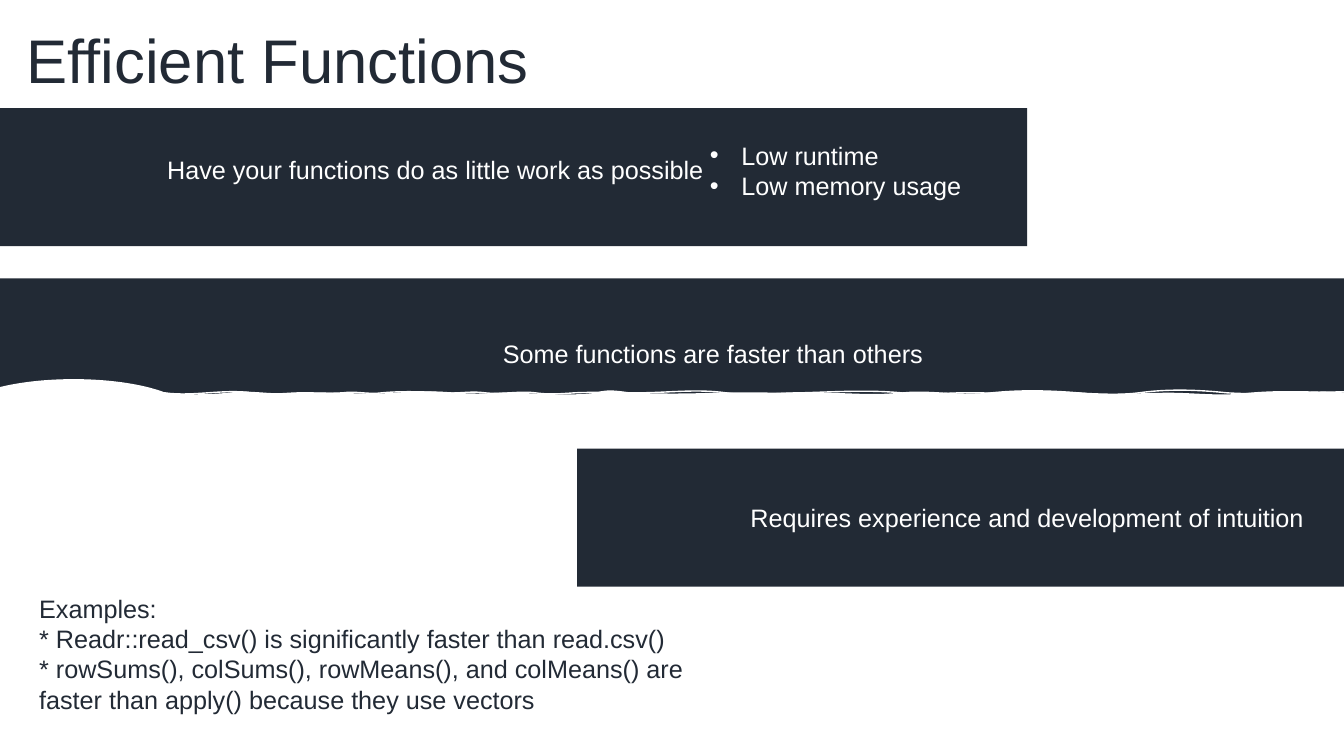
"""Build the "Efficient Functions" slide."""
from dataclasses import dataclass

from lxml import etree
from pptx import Presentation
from pptx.dml.color import RGBColor
from pptx.enum import shapes, text
from pptx.oxml import ns
from pptx.util import Pt


@dataclass(frozen=True)
class Theme:
    """Colours, font and type sizes of the slide."""
    dark: RGBColor = RGBColor(0x22, 0x2A, 0x35)
    light: RGBColor = RGBColor(0xFF, 0xFF, 0xFF)
    font: str = "Arial"
    title: int = 44
    body: int = 18


THEME = Theme()
BAR_TOP, BAR_STEP, BAR_HEIGHT = 320.5, -121.65, 98.6
BARS = [(412.3, 561.6), (0, 973.4), (-11.5, 745.2)]
GAINS = ["Low runtime", "Low memory usage"]
EXAMPLES = [
    "Examples:",
    "* Readr::read_csv() is significantly faster than read.csv()",
    "* rowSums(), colSums(), rowMeans(), and colMeans() are faster than apply() "
    "because they use vectors",
]
WAVE_LEFT, WAVE_TOP, WAVE_RIGHT, WAVE_BOTTOM = 117.4, 280.6, 980, 306
OUTLINE_WAVES = [
    (180, 2.9, -2.9), (216.7, 2.2, 0), (244.8, 0, 0.7), (272.9, -1.4, 1.4),
    (318.2, -1.4, -0.7), (346.3, 0.7, -1.4), (382.3, 1.4, -1.4), (410.4, 1.4, 0.7),
    (455.8, -0.7, 0), (518.4, 0, -2.9), (572.4, 2.9, 0), (643.7, -0.7, -2.2),
    (689, 2.2, 0), (743, 0, 0.7), (813.6, -1.4, 2.9), (876.2, -2.9, -2.2),
    (WAVE_RIGHT, 2.2, -2.2),
]
FILL_WAVES = [
    (162.7, 1.4, 1.4), (190.8, -1.4, -0.7), (218.9, 0.7, 0), (281.5, -0.7, 1.4),
    (326.9, -1.4, -1.4), (355, 0.7, 0.7), (425.5, -0.7, 2.9), (453.6, -3.6, -0.7),
    (507.6, 0.7, 0.7), (578.9, -0.7, 0), (641.5, -0.7, 2.2), (704.2, -2.9, 2.2),
    (775.4, -2.9, -2.2), (828.7, 2.2, 0), (891.4, -0.7, 2.9), (WAVE_RIGHT, -2.9, 0),
]


def add_span(para, words, size, color):
    """Add one formatted run."""
    span = para.add_run()
    span.text = words
    span.font.name = THEME.font
    span.font.size = Pt(size)
    span.font.color.rgb = color


def add_bullet(para):
    """Give a paragraph a hanging bullet."""
    props = para._p.get_or_add_pPr()
    props.set("marL", str(Pt(22.5)))
    props.set("indent", str(Pt(-22.5)))
    etree.SubElement(props, ns.qn("a:buFont")).set("typeface", THEME.font)
    etree.SubElement(props, ns.qn("a:buChar")).set("char", "•")


def add_title(page, words):
    """Place and fill the title placeholder."""
    box = page.shapes.title
    box.left, box.top, box.width, box.height = Pt(11.9), Pt(1.8), Pt(828), Pt(87.1)
    box.text_frame.vertical_anchor = text.MSO_ANCHOR.MIDDLE
    para = box.text_frame.paragraphs[0]
    para.alignment = text.PP_ALIGN.LEFT
    para.line_spacing = 0.9
    add_span(para, words, THEME.title, THEME.dark)


def add_text(page, place, lines, color=THEME.light, bulleted=False):
    """Add a wrapping text box with one paragraph per line."""
    box = page.shapes.add_textbox(*map(Pt, place))
    frame = box.text_frame
    frame.word_wrap = True
    frame.auto_size = text.MSO_AUTO_SIZE.SHAPE_TO_FIT_TEXT
    for index, line in enumerate(lines):
        para = frame.add_paragraph() if index else frame.paragraphs[0]
        if bulleted:
            add_bullet(para)
        add_span(para, line, THEME.body, color)


def paint(shape, fill, line=None, width=1):
    """Set the fill and, when given, the line."""
    shape.shadow.inherit = False
    shape.fill.solid()
    shape.fill.fore_color.rgb = fill
    if line is None:
        shape.line.fill.background()
    else:
        shape.line.color.rgb = line
        shape.line.width = Pt(width)


def add_segment(outline, tag, *points):
    """Append one drawing command with its points to an outline."""
    segment = etree.SubElement(outline, ns.qn(tag))
    for x, y in points:
        point = etree.SubElement(segment, ns.qn("a:pt"))
        point.set("x", str(Pt(x)))
        point.set("y", str(Pt(y)))


def add_outline(geometry, waves, **flags):
    """Append a strip with a wavy top edge to a custom geometry."""
    width, height = WAVE_RIGHT - WAVE_LEFT, WAVE_BOTTOM - WAVE_TOP
    outline = etree.SubElement(geometry, ns.qn("a:path"), w=str(Pt(width)),
                               h=str(Pt(height)), **flags)
    add_segment(outline, "a:moveTo", (0, 0))
    start = 0
    for right, first, second in waves:
        end = right - WAVE_LEFT
        third = (end - start) / 3
        add_segment(outline, "a:cubicBezTo", (start + third, first),
                    (end - third, second), (end, 0))
        start = end
    add_segment(outline, "a:lnTo", (width, height))
    add_segment(outline, "a:lnTo", (0, height))
    etree.SubElement(outline, ns.qn("a:close"))


def add_torn_edge(page):
    """Add the torn edge: a wavy stroke over a differently waved fill."""
    builder = page.shapes.build_freeform(Pt(WAVE_LEFT), Pt(WAVE_TOP), scale=1.0)
    corners = [(WAVE_RIGHT, WAVE_TOP), (WAVE_RIGHT, WAVE_BOTTOM), (WAVE_LEFT, WAVE_BOTTOM)]
    builder.add_line_segments([(Pt(x), Pt(y)) for x, y in corners], close=True)
    edge = builder.convert_to_shape()
    geometry = next(edge._element.iter(ns.qn("a:pathLst")))
    for outline in list(geometry):
        geometry.remove(outline)
    add_outline(geometry, OUTLINE_WAVES, fill="none")
    add_outline(geometry, FILL_WAVES, stroke="0")
    paint(edge, THEME.light, THEME.light)


def main():
    """Build and save the slide."""
    deck = Presentation()
    deck.slide_width, deck.slide_height = Pt(960), Pt(540)
    page = deck.slides.add_slide(deck.slide_layouts[5])
    add_title(page, "Efficient Functions")
    for index, (left, width) in enumerate(BARS):
        top = BAR_TOP + index * BAR_STEP
        bar = page.shapes.add_shape(shapes.MSO_SHAPE.RECTANGLE,
                                    *map(Pt, (left, top, width, BAR_HEIGHT)))
        paint(bar, THEME.dark)
    add_text(page, (112.3, 106.9, 480.2, 28.8),
             ["Have your functions do as little work as possible"])
    add_text(page, (500, 96.5, 480.2, 51.1), GAINS, bulleted=True)
    add_text(page, (352.1, 238.3, 321.8, 28.8), ["Some functions are faster than others"])
    add_text(page, (20.9, 420.1, 514.1, 94.3), EXAMPLES, THEME.dark)
    add_text(page, (529, 355.3, 410.4, 28.8),
             ["Requires experience and development of intuition"])
    mound = page.shapes.add_shape(shapes.MSO_SHAPE.OVAL,
                                  *map(Pt, (-29.5, 273.8, 164.2, 49.7)))
    paint(mound, THEME.light, THEME.light, 6)
    add_torn_edge(page)
    deck.save("out.pptx")


if __name__ == "__main__":
    main()
